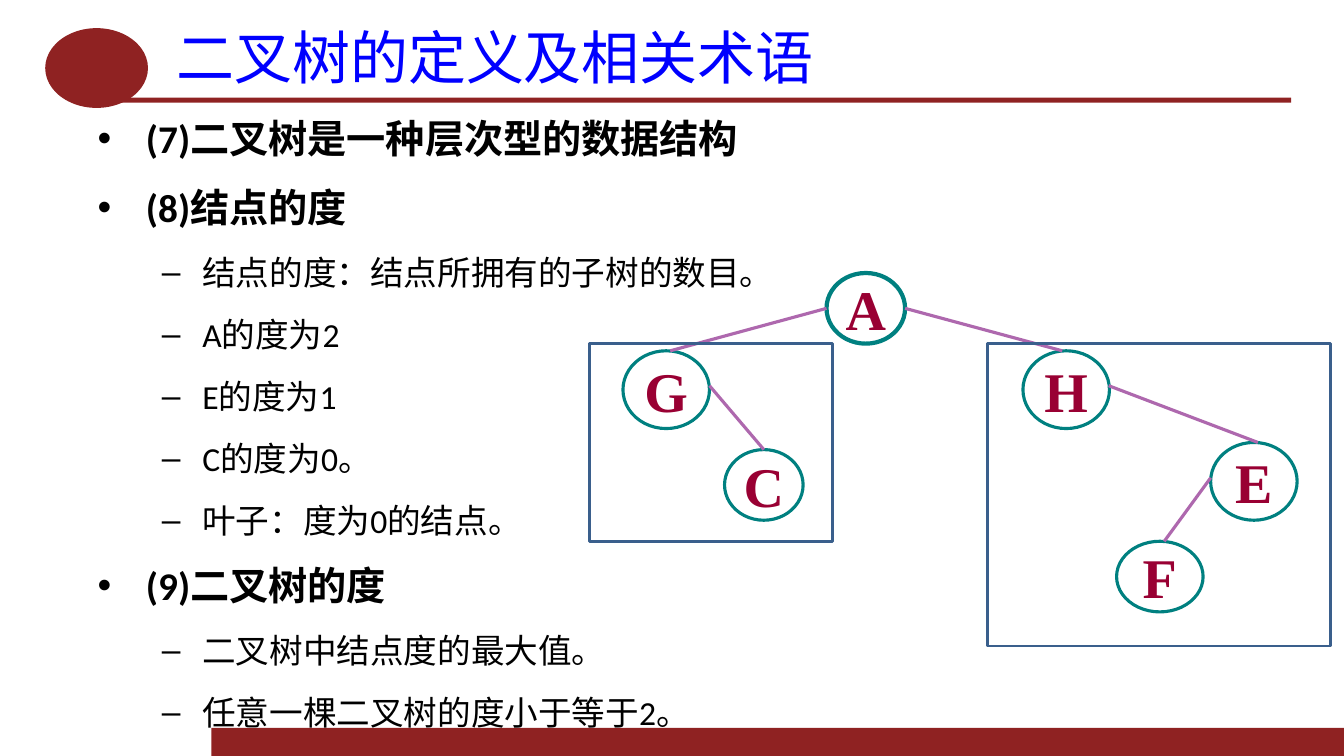
from lxml.etree import SubElement
from pptx import Presentation
from pptx.dml.color import RGBColor
from pptx.enum.shapes import MSO_CONNECTOR, MSO_SHAPE
from pptx.enum.text import MSO_ANCHOR, PP_ALIGN
from pptx.oxml.ns import qn
from pptx.util import Cm, Pt

CJK = "Noto Sans CJK SC"
RED, TEAL, PURPLE, BLUE = "8F2222", "008080", "AE68AE", "3A5F8C"

TITLE = "二叉树的定义及相关术语"
# (level, text)
POINTS = [
    (0, "(7)二叉树是一种层次型的数据结构"),
    (0, "(8)结点的度"),
    (1, "结点的度：结点所拥有的子树的数目。"),
    (1, "A的度为2"),
    (1, "E的度为1"),
    (1, "C的度为0。"),
    (1, "叶子：度为0的结点。"),
    (0, "(9)二叉树的度"),
    (1, "二叉树中结点度的最大值。"),
    (1, "任意一棵二叉树的度小于等于2。"),
]
# Per level: bullet, left margin and hanging indent (cm), font
LEVELS = [
    ("•", 1.22, 1.22, {"size": Pt(28), "bold": True, "name": "Calibri"}),
    ("–", 2.64, 1.02, {"size": Pt(24), "bold": False, "name": "Calibri"}),
]
# Tree parts in cm, relative to the tree's box
NODES = [  # letter, left, top, width, height, line width
    ("A", 5.97, 0, 1.98, 1.78, 3),
    ("G", 0.84, 1.96, 2.18, 1.96, 2.25),
    ("C", 3.4, 4.45, 1.98, 1.78, 2.25),
    ("H", 10.92, 1.96, 2.18, 1.96, 2.25),
    ("E", 15.65, 4.27, 2.18, 1.96, 2.25),
    ("F", 13.28, 6.76, 2.18, 1.78, 2.25),
]
EDGES = [  # from x, y, to x, y
    (5.97, 0.89, 2.03, 1.96),
    (3.02, 2.84, 4.39, 4.45),
    (7.95, 0.89, 11.91, 1.96),
    (13.08, 2.84, 16.84, 4.27),
    (15.65, 5.16, 14.48, 6.76),
]
SUBTREES = [(0, 1.78, 6.12, 4.98), (10.03, 1.78, 8.64, 7.62)]


def color(value):
    return RGBColor.from_string(value)


def set_font(font, hex_color, **values):
    for name, value in values.items():
        setattr(font, name, value)
    font.color.rgb = color(hex_color)


def add_run(p, text, hex_color, **values):
    r = p.add_run()
    r.text = text
    set_font(r.font, hex_color, **values)
    SubElement(r._r.get_or_add_rPr(), qn("a:ea")).set("typeface", CJK)


def add_shape(shapes, kind, box, fill=None, line=None, width=1):
    sp = shapes.add_shape(kind, *map(Cm, box))
    sp.shadow.inherit = False
    if fill:
        sp.fill.solid()
        sp.fill.fore_color.rgb = color(fill)
    else:
        sp.fill.background()
    if line:
        sp.line.color.rgb = color(line)
        sp.line.width = Pt(width)
    else:
        sp.line.fill.background()
    return sp


def add_text_frame(s, box, anchor):
    tf = s.shapes.add_textbox(*map(Cm, box)).text_frame
    frame = {"word_wrap": True, "vertical_anchor": anchor,
             "margin_left": Cm(0.33), "margin_right": Cm(0.33),
             "margin_top": Cm(0.15), "margin_bottom": Cm(0.15)}
    for name, value in frame.items():
        setattr(tf, name, value)
    return tf


def add_decor(s, x, y, w, h):
    # Footer bar, title rule and corner ellipse
    add_shape(s.shapes, MSO_SHAPE.RECTANGLE, (x + 5.33, y + h - 0.71, w - 5.33, 0.71), RED)
    add_shape(s.shapes, MSO_SHAPE.RECTANGLE, (x + 3, y + 2.46, 29.54, 0.13), RED)
    add_shape(s.shapes, MSO_SHAPE.OVAL, (x + 1.14, y + 0.71, 2.59, 2.01), RED)


def add_tree(s, x, y):
    shapes = s.shapes.add_group_shape().shapes
    # Nodes
    for letter, left, top, w, h, width in NODES:
        sp = add_shape(shapes, MSO_SHAPE.OVAL, (x + left, y + top, w, h), "FFFFFF", TEAL, width)
        tf = sp.text_frame
        tf.word_wrap = False
        tf.vertical_anchor = MSO_ANCHOR.MIDDLE
        p = tf.paragraphs[0]
        p.alignment = PP_ALIGN.CENTER
        add_run(p, letter, "990033", size=Pt(40), bold=True, name="Times New Roman")
    # Edges
    for x1, y1, x2, y2 in EDGES:
        ends = map(Cm, (x + x1, y + y1, x + x2, y + y2))
        edge = shapes.add_connector(MSO_CONNECTOR.STRAIGHT, *ends)
        edge.line.color.rgb = color(PURPLE)
        edge.line.width = Pt(2.25)
        SubElement(edge._element.spPr, qn("a:effectLst"))
    # Subtree frames
    for left, top, w, h in SUBTREES:
        add_shape(shapes, MSO_SHAPE.RECTANGLE, (x + left, y + top, w, h), line=BLUE, width=2)


def add_title(s, *box):
    p = add_text_frame(s, box, MSO_ANCHOR.MIDDLE).paragraphs[0]
    p.alignment = PP_ALIGN.JUSTIFY
    add_run(p, TITLE, "0000FF", size=Pt(41.4), name=CJK)


def add_points(s, *box):
    tf = add_text_frame(s, box, MSO_ANCHOR.TOP)
    for i, (level, text) in enumerate(POINTS):
        bullet, margin, hang, font = LEVELS[level]
        p = tf.paragraphs[0] if i == 0 else tf.add_paragraph()
        layout = {"level": level, "alignment": PP_ALIGN.JUSTIFY,
                  "space_before": Pt(7.7 if i else 0), "space_after": Pt(7.7)}
        for name, value in layout.items():
            setattr(p, name, value)
        pPr = p._p.get_or_add_pPr()
        pPr.set("marL", str(Cm(margin)))
        pPr.set("indent", str(-Cm(hang)))
        SubElement(pPr, qn("a:buFont")).set("typeface", "Arial")
        SubElement(pPr, qn("a:buChar")).set("char", bullet)
        add_run(p, text, "000000", **font)


def main():
    prs = Presentation()
    prs.slide_width, prs.slide_height = Cm(33.87), Cm(19.05)
    s = prs.slides.add_slide(prs.slide_layouts[6])
    add_decor(s, 0, 0, 33.87, 19.05)
    add_tree(s, 14.86, 6.88)
    add_title(s, 4.11, 0.53, 28.42, 1.8)
    add_points(s, 2.13, 2.74, 22.2, 13.51)
    prs.save("out.pptx")


if __name__ == "__main__":
    main()
